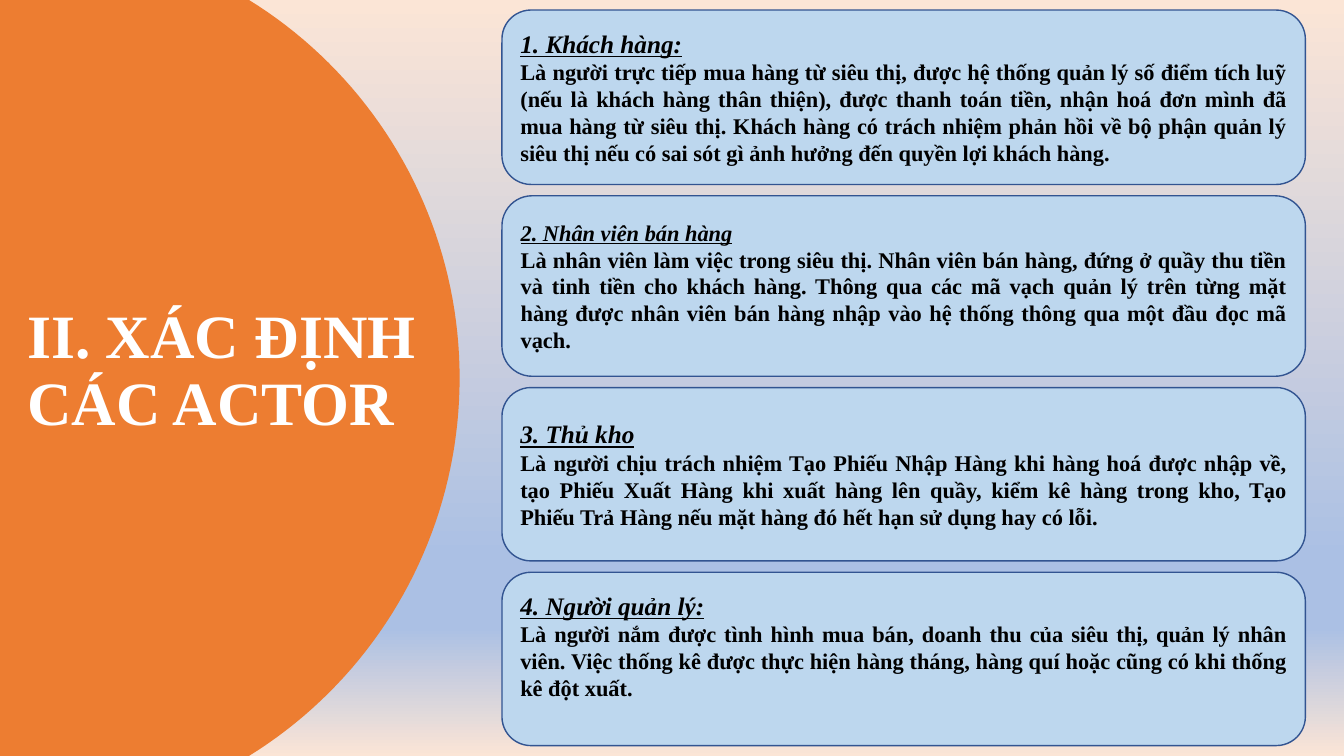
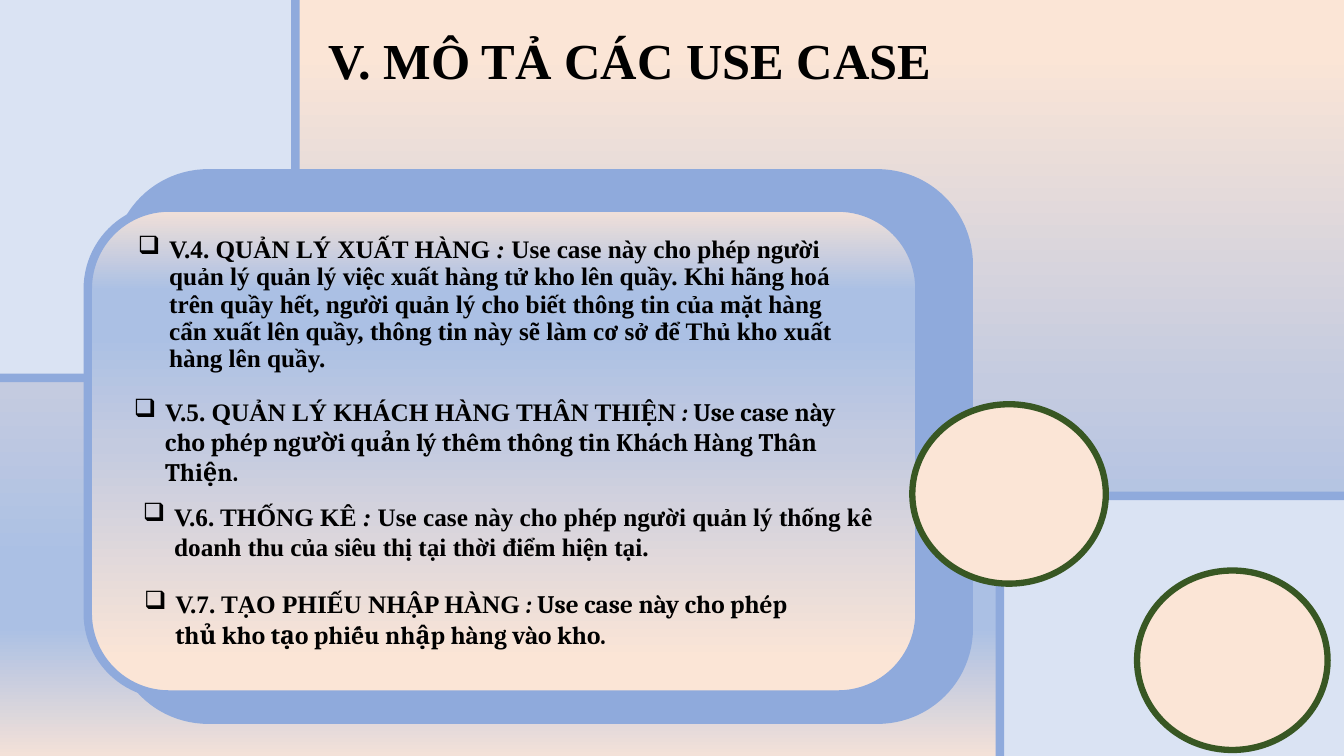
from math import asin, cos, sin

from lxml import etree
from pptx import Presentation
from pptx.dml.color import RGBColor
from pptx.enum.shapes import MSO_SHAPE
from pptx.enum.text import MSO_ANCHOR, PP_ALIGN
from pptx.oxml.ns import qn
from pptx.util import Emu, Inches, Pt

ROUND, OVAL = MSO_SHAPE.ROUNDED_RECTANGLE, MSO_SHAPE.OVAL
TOP, MIDDLE, BOTTOM = MSO_ANCHOR.TOP, MSO_ANCHOR.MIDDLE, MSO_ANCHOR.BOTTOM
JUSTIFY = PP_ALIGN.JUSTIFY

SERIF, BODY_SERIF = "Times New Roman", "Cambria"
BLACK = RGBColor(0x00, 0x00, 0x00)
WHITE = RGBColor(0xFF, 0xFF, 0xFF)
ORANGE = RGBColor(0xED, 0x7D, 0x31)
CARD_BLUE = RGBColor(0xBD, 0xD7, 0xEE)
CARD_EDGE = RGBColor(0x32, 0x54, 0x91)
PALE_BLUE = RGBColor(0xDA, 0xE3, 0xF3)
MID_BLUE = RGBColor(0x8F, 0xAA, 0xDC)
SOFT_BLUE = RGBColor(0xAB, 0xC0, 0xE4)
GREY_BLUE = RGBColor(0xC4, 0xCB, 0xE0)
PEACH = RGBColor(0xFB, 0xE5, 0xD6)
DULL_PEACH = RGBColor(0xF3, 0xE1, 0xD8)
DARK_GREEN = RGBColor(0x38, 0x57, 0x23)

ACTOR_STOPS = [(0, PEACH), (74, SOFT_BLUE), (83, SOFT_BLUE), (100, PEACH)]
CASE_STOPS = [(7, PEACH), (51, GREY_BLUE), (74, SOFT_BLUE), (83, SOFT_BLUE), (100, DULL_PEACH)]

prs = Presentation()
prs.slide_width, prs.slide_height = Inches(13.33), Inches(7.5)
W, H = prs.slide_width, prs.slide_height


def frame(x, y, w, h):
    """Turn percentages of the slide's width and height into lengths."""
    return [Emu(round(share * side / 100)) for share, side in ((x, W), (y, H), (w, W), (h, H))]


def set_gradient(fill, element, stops, angle):
    """Give fill a gradient; element is the XML node that holds it."""
    fill.gradient()
    fill.gradient_angle = angle
    stop_list = next(element.iter(qn("a:gsLst")))
    for old in list(stop_list):
        stop_list.remove(old)
    for percent, color in stops:
        gs = etree.SubElement(stop_list, qn("a:gs"), pos=str(percent * 1000))
        etree.SubElement(gs, qn("a:srgbClr"), val=str(color))


# Slides and backgrounds
slides = []
for stops in (ACTOR_STOPS, CASE_STOPS):
    s = prs.slides.add_slide(prs.slide_layouts[6])
    set_gradient(s.background.fill, s._element, stops, 270)
    slides.append(s)
actors, cases = slides

# Orange disc cut by the left, top and bottom edges
radius = 0.588 * H
center_x = 0.342 * W - radius
half_angle = asin(H / 2 / radius)
STEPS = 80
arc = []
for i in range(STEPS + 1):
    angle = half_angle * (2 * i / STEPS - 1)
    arc.append((round(center_x + radius * cos(angle)), round(H / 2 + radius * sin(angle))))
builder = actors.shapes.build_freeform(0, 0)
builder.add_line_segments(arc + [(0, H)], close=True)
sp = builder.convert_to_shape()
sp.shadow.inherit = False
sp.fill.solid()
sp.fill.fore_color.rgb = ORANGE
sp.line.fill.background()

# Panels and circles behind the use cases
ornaments = [
    (ROUND, (-21.75, -14.8, 43.73, 64.8), PALE_BLUE, MID_BLUE, 6),
    (ROUND, (74.4, 65.6, 40.28, 75.2), PALE_BLUE, MID_BLUE, 6),
    (ROUND, (8.7, 22.93, 63.38, 72.27), MID_BLUE, MID_BLUE, 6),
    (ROUND, (6.53, 27.47, 61.88, 64.4), None, MID_BLUE, 6),
    (OVAL, (67.88, 53.47, 14.4, 23.73), PEACH, DARK_GREEN, 4.5),
    (OVAL, (84.6, 75.47, 14.18, 23.73), PEACH, DARK_GREEN, 4.5),
]
for kind, place, color, edge, width in ornaments:
    sp = cases.shapes.add_shape(kind, *frame(*place))
    sp.shadow.inherit = False
    if color is None:
        set_gradient(sp.fill, sp._element, CASE_STOPS, 90)
    else:
        sp.fill.solid()
        sp.fill.fore_color.rgb = color
    sp.line.color.rgb = edge
    sp.line.width = Pt(width)

# Titles
titles = [
    (actors, (1.28, 23.47, 31.58, 51.47), "II. XÁC ĐỊNH CÁC ACTOR", 44, WHITE, MIDDLE),
    (cases, (23.7, 0, 60.9, 12.67), "V. MÔ TẢ CÁC USE CASE", 36, BLACK, BOTTOM),
]
for s, place, text, size, color, anchor in titles:
    tf = s.shapes.add_textbox(*frame(*place)).text_frame
    tf.word_wrap = True
    tf.vertical_anchor = anchor
    p = tf.paragraphs[0]
    p.line_spacing = 0.9
    r = p.add_run()
    r.text = text
    r.font.name, r.font.size, r.font.bold = SERIF, Pt(size), True
    r.font.color.rgb = color

# Actor cards: heading, heading size, description, card height, extra space below
cards = [
    ("1. Khách hàng:", 18,
     "Là người trực tiếp mua hàng từ siêu thị, được hệ thống quản lý số điểm tích luỹ "
     "(nếu là khách hàng thân thiện), được thanh toán tiền, nhận hoá đơn mình đã mua hàng "
     "từ siêu thị. Khách hàng có trách nhiệm phản hồi về bộ phận quản lý siêu thị nếu có "
     "sai sót gì ảnh hưởng đến quyền lợi khách hàng.", 23.07, 0),
    ("2. Nhân viên bán hàng", 16,
     "Là nhân viên làm việc trong siêu thị. Nhân viên bán hàng, đứng ở quầy thu tiền và "
     "tinh tiền cho khách hàng. Thông qua các mã vạch quản lý trên từng mặt hàng được nhân "
     "viên bán hàng nhập vào hệ thống thông qua một đầu đọc mã vạch.", 23.87, 0),
    ("3. Thủ kho", 18,
     "Là người chịu trách nhiệm Tạo Phiếu Nhập Hàng khi hàng hoá được nhập về, tạo Phiếu "
     "Xuất Hàng khi xuất hàng lên quầy, kiểm kê hàng trong kho, Tạo Phiếu Trả Hàng nếu mặt "
     "hàng đó hết hạn sử dụng hay có lỗi.", 22.93, 0),
    ("4. Người quản lý:", 18,
     "Là người nắm được tình hình mua bán, doanh thu của siêu thị, quản lý nhân viên. Việc "
     "thống kê được thực hiện hàng tháng, hàng quí hoặc cũng có khi thống kê đột xuất.",
     22.93, 3.5),
]
CARD_GAP = 1.5
card_top = 1.33
for heading, size, description, height, space_below in cards:
    sp = actors.shapes.add_shape(ROUND, *frame(37.35, card_top, 59.78, height))
    card_top += height + CARD_GAP
    sp.shadow.inherit = False
    sp.fill.solid()
    sp.fill.fore_color.rgb = CARD_BLUE
    sp.line.color.rgb = CARD_EDGE
    sp.line.width = Pt(1)
    tf = sp.text_frame
    tf.word_wrap = True
    tf.vertical_anchor = MIDDLE
    tf.margin_bottom += round(space_below * H / 100)
    for p, text, points, is_heading in (
        (tf.paragraphs[0], heading, size, True),
        (tf.add_paragraph(), description, 16, False),
    ):
        p.alignment = JUSTIFY
        r = p.add_run()
        r.text = text
        r.font.name, r.font.size, r.font.bold = SERIF, Pt(points), True
        r.font.italic = r.font.underline = is_heading
        r.font.color.rgb = BLACK

# Use cases: place, name, description, font after the name, anchor, line spacing
use_cases = [
    ((9.53, 31.2, 55.43, 18.8), "V.4. QUẢN LÝ XUẤT HÀNG ",
     " Use case này cho phép người quản lý quản lý việc xuất hàng tử kho lên quầy. Khi hãng "
     "hoá trên quầy hết, người quản lý cho biết thông tin của mặt hàng cẩn xuất lên quầy, "
     "thông tin này sẽ làm cơ sở để Thủ kho xuất hàng lên quầy.", SERIF, BOTTOM, 0.9),
    ((9.23, 51.73, 54.08, 13.8), "V.5. QUẢN LÝ KHÁCH HÀNG THÂN THIỆN ",
     " Use case này cho phép người quản lý thêm thông tin Khách Hàng Thân Thiện.",
     BODY_SERIF, TOP, 1.0),
    ((9.9, 65.6, 56.55, 9.47), "V.6. THỐNG KÊ ",
     " Use case này cho phép người quản lý thống kê doanh thu của siêu thị tại thời điểm "
     "hiện tại.", SERIF, TOP, 1.0),
    ((9.98, 77.2, 49.73, 9.47), "V.7. TẠO PHIẾU NHẬP HÀNG ",
     " Use case này cho phép thủ kho tạo phiếu nhập hàng vào kho.", BODY_SERIF, TOP, 1.0),
]
INDENT = Inches(0.31)
for place, name, description, font, anchor, spacing in use_cases:
    tf = cases.shapes.add_textbox(*frame(*place)).text_frame
    tf.word_wrap = True
    tf.vertical_anchor = anchor
    p = tf.paragraphs[0]
    pPr = p._p.get_or_add_pPr()
    pPr.set("marL", str(INDENT))
    pPr.set("indent", str(-INDENT))
    etree.SubElement(pPr, qn("a:buChar"), char="❑")
    p.line_spacing = spacing
    for text, typeface, italic in ((name, SERIF, False), (":", font, True),
                                   (description, font, False)):
        r = p.add_run()
        r.text = text
        r.font.name, r.font.size, r.font.bold = typeface, Pt(18), True
        r.font.italic = italic
        r.font.color.rgb = BLACK

prs.save("out.pptx")
